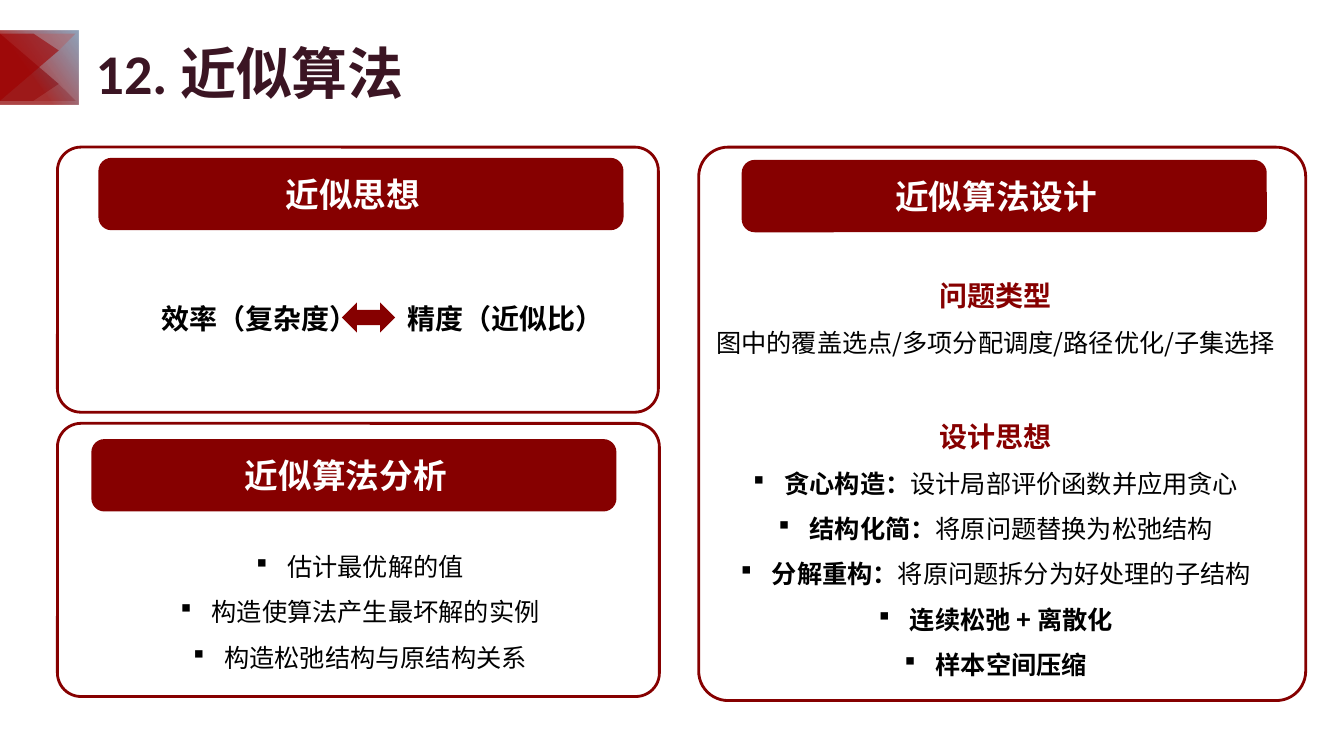
"""Build the summary slide on approximation algorithms on a grid of 160 by 90 cells."""
from lxml import etree
from pptx import Presentation, util as u
from pptx.dml.color import RGBColor
from pptx.enum import shapes, text
from pptx.oxml import ns

SLIDE_WIDTH, SLIDE_HEIGHT = u.Inches(13.33), u.Inches(7.5)
CELL = SLIDE_HEIGHT / 90
FONT = "Noto Sans CJK SC"
MAROON = RGBColor(0x86, 0x00, 0x00)
PLUM = RGBColor(0x3B, 0x15, 0x23)
BLACK = RGBColor(0x00, 0x00, 0x00)
WHITE = RGBColor(0xFF, 0xFF, 0xFF)
EMBLEM_RED = RGBColor(0xA0, 0x00, 0x00)
EMBLEM_PINK = RGBColor(0xBA, 0x57, 0x57)
EMBLEM_BLUE = RGBColor(0x30, 0x54, 0x80)
EMBLEM_DARK = RGBColor(0x90, 0x00, 0x00)
CENTER = text.PP_ALIGN.CENTER
LEFT = text.PP_ALIGN.LEFT

PANELS = [
    ((6.84, 17.52, 71.52, 31.56), 2.8),
    ((6.84, 50.4, 71.64, 32.52), 2.8),
    ((83.16, 17.52, 72.24, 65.88), 3.5),
]
BARS = [
    (11.88, 18.96, "近似思想"),
    (11.04, 52.44, "近似算法分析"),
    (88.44, 19.2, "近似算法设计"),
]
ANALYSIS = ["估计最优解的值", "构造使算法产生最坏解的实例", "构造松弛结构与原结构关系"]
DESIGN_IDEAS = [
    ("贪心构造：", "设计局部评价函数并应用贪心"),
    ("结构化简：", "将原问题替换为松弛结构"),
    ("分解重构：", "将原问题拆分为好处理的子结构"),
    ("连续松弛 + 离散化", ""),
    ("样本空间压缩", ""),
]
EMBLEM_BAND = [(0, 12.48), (4.32, 12.48), (6.84, 10.08), (0.36, 3.6), (0, 3.6)]
EMBLEM_TRIANGLE = [(4.32, 12.48), (9.24, 12.48), (6.84, 10.08)]
EMBLEM_MIRROR = 16.08


def cells(*lengths):
    """Turn grid cells into slide lengths."""
    return [u.Emu(round(length * CELL)) for length in lengths]


def add_element(parent, tag, **attributes):
    """Append a drawing element with its attributes."""
    return etree.SubElement(parent, ns.qn(tag), attributes)


def set_opacity(shape, *percents):
    """Give each fill colour of a shape its opacity."""
    colors = list(shape._element.spPr.iter(ns.qn("a:srgbClr")))
    for color, percent in zip(colors, percents):
        add_element(color, "a:alpha", val=str(percent * 1000))


def add_block(slide, kind, box, fill=None, line=None):
    """Add a preset shape with an optional fill and outline."""
    shape = slide.shapes.add_shape(kind, *cells(*box))
    shape.shadow.inherit = False
    if fill is None:
        shape.fill.background()
    else:
        shape.fill.solid()
        shape.fill.fore_color.rgb = fill
    if line is None:
        shape.line.fill.background()
    else:
        shape.line.color.rgb = line
        shape.line.width = u.Pt(2)
    return shape


def add_facets(slide, mirrored):
    """Add the translucent band and triangle of one emblem half."""
    facets = [(EMBLEM_BAND, EMBLEM_RED, 62), (EMBLEM_TRIANGLE, EMBLEM_PINK, 41)]
    for points, color, opacity in facets:
        corners = [(x, EMBLEM_MIRROR - y if mirrored else y) for x, y in points]
        builder = slide.shapes.build_freeform(*corners[0], scale=CELL)
        builder.add_line_segments(corners[1:], close=True)
        facet = builder.convert_to_shape()
        facet.shadow.inherit = False
        facet.fill.solid()
        facet.fill.fore_color.rgb = color
        facet.line.fill.background()
        set_opacity(facet, opacity)


def add_emblem(slide):
    """Add the faceted emblem beside the title."""
    add_facets(slide, mirrored=False)
    sheen = add_block(slide, shapes.MSO_SHAPE.RECTANGLE, (0, 3.6, 9.36, 8.88))
    sheen.fill.gradient()
    sheen.fill.gradient_angle = 216
    stops = [(0, EMBLEM_BLUE), (0.61, EMBLEM_DARK)]
    for stop, (position, color) in zip(sheen.fill.gradient_stops, stops):
        stop.position = position
        stop.color.rgb = color
    set_opacity(sheen, 53, 73)
    add_facets(slide, mirrored=True)


def add_bullet(paragraph):
    """Give a paragraph a square bullet with a hanging indent."""
    properties = paragraph._p.get_or_add_pPr()
    indent = u.Inches(0.31)
    properties.set("marL", str(indent))
    properties.set("indent", str(-indent))
    add_element(properties, "a:buFont", typeface="Wingdings")
    add_element(properties, "a:buChar", char="§")


def style(paragraph, size, color, bold=None, align=CENTER, spacing=1.5, name=FONT):
    """Set the alignment, line spacing and font of a paragraph."""
    paragraph.alignment = align
    paragraph.line_spacing = spacing
    font = paragraph.font
    font.size, font.bold, font.name = u.Pt(size), bold, name
    font.color.rgb = color
    add_element(font._element, "a:ea", typeface=FONT)


def add_text(slide, box):
    """Add a wrapping text box and return its text frame."""
    frame = slide.shapes.add_textbox(*cells(*box)).text_frame
    frame.word_wrap = True
    return frame


def next_paragraph(frame):
    """Return the unused first paragraph or a new one."""
    first = frame.paragraphs[0]
    return frame.add_paragraph() if first.runs else first


def add_line(frame, content, size=18, color=BLACK, bold=False, bullet=False):
    """Add a centred line of text in one style."""
    paragraph = next_paragraph(frame)
    paragraph.add_run().text = content
    if bullet:
        add_bullet(paragraph)
    style(paragraph, size, color, bold)
    return paragraph


def add_idea(frame, label, detail):
    """Add a bulleted line with a bold label and a plain detail."""
    if not detail:
        add_line(frame, label, bold=True, bullet=True)
        return
    paragraph = next_paragraph(frame)
    for content, bold in ((label, True), (detail, False)):
        run = paragraph.add_run()
        run.text, run.font.bold = content, bold
    add_bullet(paragraph)
    style(paragraph, 18, BLACK)


def add_bar(slide, left, top, heading):
    """Add a filled heading bar."""
    kind = shapes.MSO_SHAPE.ROUNDED_RECTANGLE
    bar = add_block(slide, kind, (left, top, 62.16, 8.28), MAROON, MAROON)
    bar.text_frame.margin_left, bar.text_frame.margin_right = 0, u.Inches(0.16)
    bar.text_frame.vertical_anchor = text.MSO_ANCHOR.MIDDLE
    paragraph = bar.text_frame.paragraphs[0]
    paragraph.add_run().text = heading
    style(paragraph, 24, WHITE, True, spacing=1.0)


def add_title(slide):
    """Add the slide title."""
    frame = add_text(slide, (11.4, 4.56, 144, 8.04))
    frame.margin_left = frame.margin_right = frame.margin_top = frame.margin_bottom = 0
    frame.vertical_anchor = text.MSO_ANCHOR.MIDDLE
    paragraph = frame.paragraphs[0]
    paragraph.add_run().text = "12. 近似算法"
    style(paragraph, 40, PLUM, True, LEFT, 1.0, "Calibri")


def add_tradeoff(slide):
    """Add the efficiency and precision pair with its arrow."""
    paragraph = add_text(slide, (18, 33.36, 61.2, 6.6)).paragraphs[0]
    paragraph.add_run().text = "效率（复杂度）\t精度（近似比）"
    tabs = add_element(paragraph._p.get_or_add_pPr(), "a:tabLst")
    add_element(tabs, "a:tab", pos=str(cells(29.28)[0]), algn="l")
    style(paragraph, 20, BLACK, True, LEFT)
    add_block(slide, shapes.MSO_SHAPE.LEFT_RIGHT_ARROW, (40.68, 36, 6.36, 3.6), MAROON)


def main():
    """Build and save the slide."""
    presentation = Presentation()
    presentation.slide_width, presentation.slide_height = SLIDE_WIDTH, SLIDE_HEIGHT
    slide = presentation.slides.add_slide(presentation.slide_layouts[6])
    add_emblem(slide)
    add_title(slide)
    for box, radius in PANELS:
        panel = add_block(slide, shapes.MSO_SHAPE.ROUNDED_RECTANGLE, box, line=MAROON)
        panel.adjustments[0] = radius / min(box[2:])
    for bar in BARS:
        add_bar(slide, *bar)
    add_tradeoff(slide)
    analysis = add_text(slide, (8.76, 63.24, 68.16, 16.92))
    for item in ANALYSIS:
        add_line(analysis, item, bullet=True)
    design = add_text(slide, (81.6, 30.6, 73.8, 50.88))
    add_line(design, "问题类型", 20, MAROON, True)
    add_line(design, "图中的覆盖选点/多项分配调度/路径优化/子集选择")
    add_line(design, "设计思想", 20, MAROON, True).space_before = u.Pt(32)
    for label, detail in DESIGN_IDEAS:
        add_idea(design, label, detail)
    presentation.save("out.pptx")


if __name__ == "__main__":
    main()
